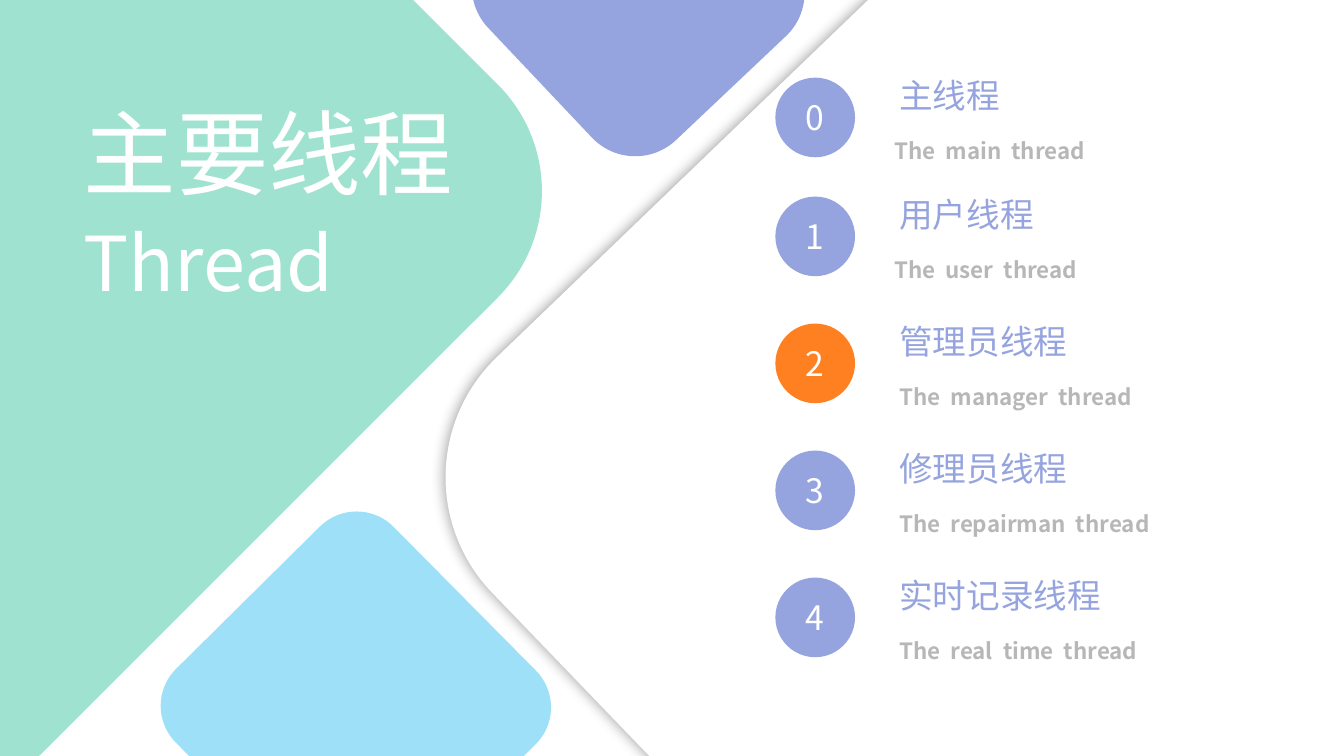
from dataclasses import dataclass

from lxml import etree
from pptx import Presentation
from pptx.dml.color import RGBColor
from pptx.enum import shapes, text
from pptx.oxml import ns
from pptx.util import Inches, Pt


@dataclass(frozen=True)
class Theme:
    font: str = "Noto Sans CJK JP"
    white: str = "FFFFFF"
    mint: str = "9EE2CF"
    periwinkle: str = "95A4DE"
    sky: str = "9EE0F8"
    orange: str = "FF8021"
    grey: str = "A6A6A6"
    shadow: str = "000000"
    title: int = 66
    subtitle: int = 54
    heading: int = 24
    caption: int = 16


THEME = Theme()

# Left, top, width, height, rotation, corner radius, colour; back to front
TILES = [
    (6.19, -1.05, 11.79, 11.83, 316.1, 0.14, THEME.white),
    (4.99, -1.44, 2.68, 2.68, 46.6, 0.22, THEME.periwinkle),
    (-4.81, -2.58, 8.78, 9.36, 225, 0.17, THEME.mint),
    (2.01, 5.49, 3.04, 3.04, 315.3, 0.17, THEME.sky),
]

# Chinese name, English name, badge colour, left offset of the English name
THREADS = [
    ("主线程", "The  main  thread", THEME.periwinkle, 1.08),
    ("用户线程", "The  user  thread", THEME.periwinkle, 1.08),
    ("管理员线程", "The  manager  thread", THEME.orange, 1.13),
    ("修理员线程", "The  repairman  thread", THEME.periwinkle, 1.13),
    ("实时记录线程", "The  real  time  thread", THEME.periwinkle, 1.13),
]
FIRST_TOP, SECOND_TOP, PITCH = 0.77, 1.95, 1.26


def sub(parent, tag, **attributes):
    return etree.SubElement(parent, ns.qn(tag), attributes)


def place(part, left, top, width, height):
    part.left, part.top = Inches(left), Inches(top)
    part.width, part.height = Inches(width), Inches(height)


def write(frame, words, size, colour, align=text.PP_ALIGN.LEFT, bold=False, alpha=None):
    frame.word_wrap = True
    frame.auto_size = text.MSO_AUTO_SIZE.NONE
    line = frame.paragraphs[0]
    line.alignment = align
    line.space_before = Pt(0)
    run = line.add_run()
    run.text = words
    run.font.name, run.font.size, run.font.bold = THEME.font, Pt(size), bold
    run.font.color.rgb = RGBColor.from_string(colour)
    properties = run.font._element
    sub(properties, "a:ea", typeface=THEME.font)
    if alpha:
        tint = properties.find(".//" + ns.qn("a:srgbClr"))
        sub(tint, "a:alpha", val=str(alpha * 1000))


def add_label(slide, box, words, size, colour, **style):
    label = slide.shapes.add_textbox(*map(Inches, box))
    write(label.text_frame, words, size, colour, **style)


def add_solid(slide, kind, box, colour):
    solid = slide.shapes.add_shape(kind, *map(Inches, box))
    solid.shadow.inherit = False
    solid.fill.solid()
    solid.fill.fore_color.rgb = RGBColor.from_string(colour)
    solid.line.fill.background()
    return solid


def add_soft_shadow(solid):
    effects = solid._element.spPr.find(ns.qn("a:effectLst"))
    glow = sub(effects, "a:outerShdw", blurRad=str(Pt(10)), dist="0", dir="0",
               algn="ctr", rotWithShape="0")
    tint = sub(glow, "a:srgbClr", val=THEME.shadow)
    sub(tint, "a:alpha", val="40000")


def build_backdrop(slide):
    for index, (*box, rotation, radius, colour) in enumerate(TILES):
        tile = add_solid(slide, shapes.MSO_SHAPE.ROUNDED_RECTANGLE, box, colour)
        tile.rotation = rotation
        tile.adjustments[0] = radius
        if index == 0:
            add_soft_shadow(tile)


def build_heading(slide, left, top, width):
    title, subtitle = slide.placeholders
    lines = [
        (title, "主要线程", THEME.title, top, 1.21),
        (subtitle, "Thread", THEME.subtitle, top + 1.19, 1.01),
    ]
    for holder, words, size, line_top, height in lines:
        place(holder, left, line_top, width, height)
        holder.text_frame.vertical_anchor = text.MSO_ANCHOR.TOP
        write(holder.text_frame, words, size, THEME.white)
        # Bring the placeholder in front of the backdrop
        slide.shapes._spTree.append(holder._element)


def build_thread(slide, left, top, number, thread):
    name, english, colour, indent = thread
    # Numbered badge
    badge = add_solid(slide, shapes.MSO_SHAPE.OVAL, (left, top, 0.79, 0.79), colour)
    frame = badge.text_frame
    frame.margin_left = frame.margin_right = frame.margin_top = frame.margin_bottom = 0
    frame.vertical_anchor = text.MSO_ANCHOR.MIDDLE
    write(frame, str(number), THEME.heading, THEME.white, align=text.PP_ALIGN.CENTER)
    # Names
    add_label(slide, (left + 1.13, top - 0.08, 3.48, 0.5), name,
              THEME.heading, THEME.periwinkle)
    add_label(slide, (left + indent, top + 0.54, 3.48, 0.37), english,
              THEME.caption, THEME.grey, bold=True, alpha=80)


def build_threads(slide, left):
    for number, thread in enumerate(THREADS):
        top = SECOND_TOP + PITCH * (number - 1) if number else FIRST_TOP
        build_thread(slide, left, top, number, thread)


deck = Presentation()
deck.slide_width, deck.slide_height = Inches(13.33), Inches(7.5)
thread_slide = deck.slides.add_slide(deck.slide_layouts[0])
build_backdrop(thread_slide)
build_heading(thread_slide, 0.73, 0.9, 4.3)
build_threads(thread_slide, 7.69)
deck.save("out.pptx")
